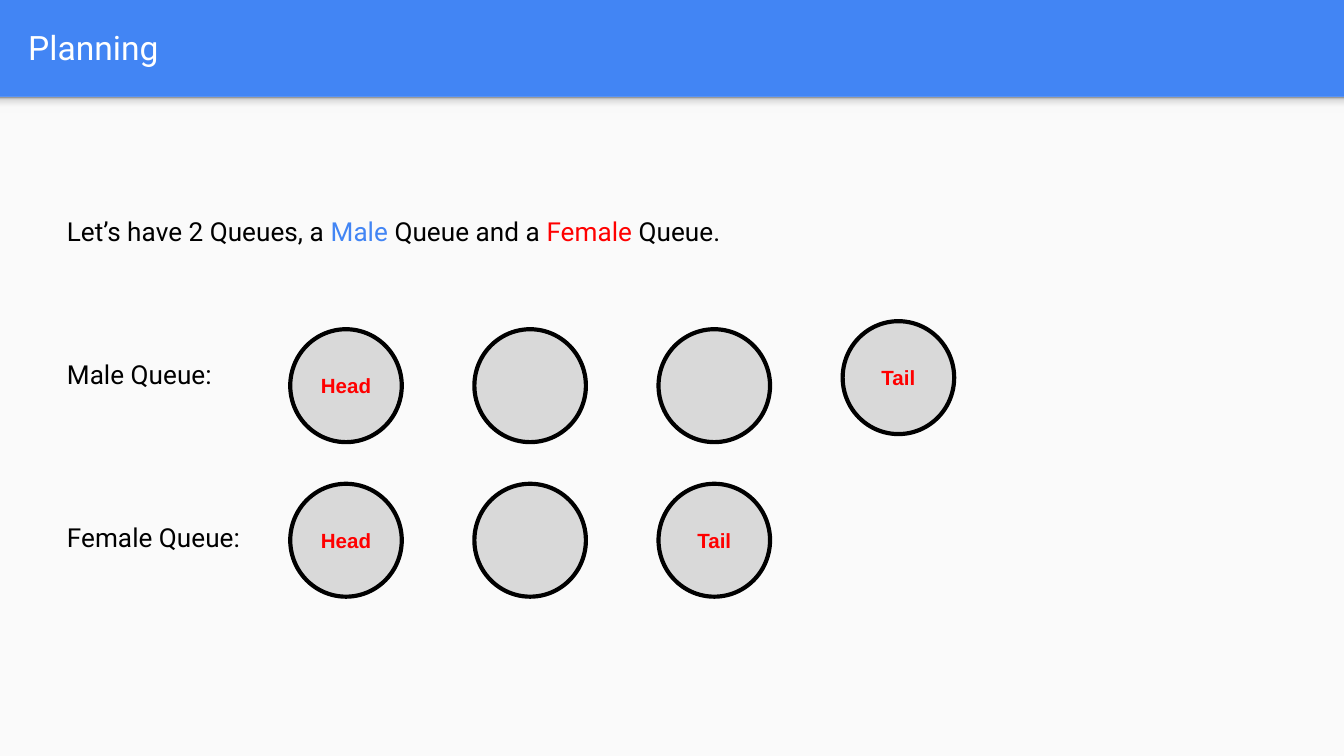
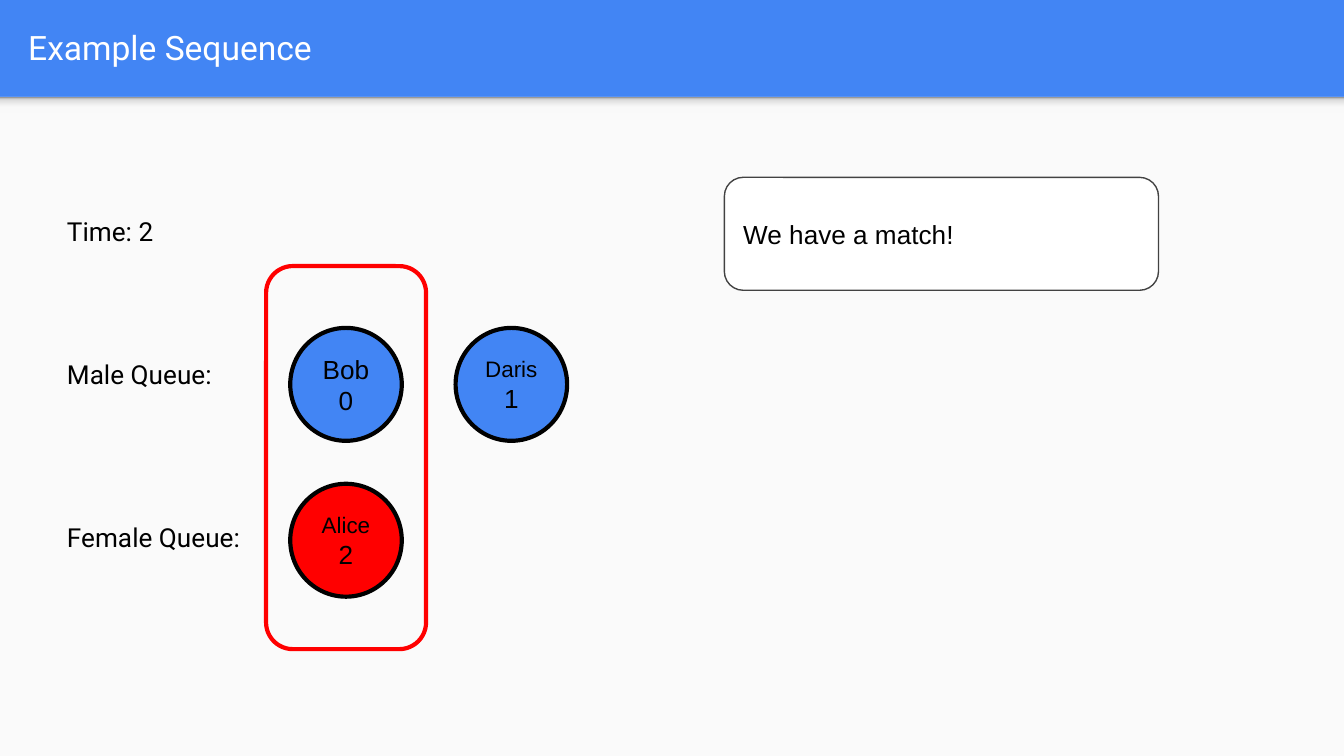
from lxml import etree
from pptx import Presentation
from pptx import util as u
from pptx.dml.color import RGBColor
from pptx.enum import shapes, text
from pptx.oxml import ns

# Shared style
BLUE = RGBColor(0x42, 0x85, 0xF4)
RED = RGBColor(0xFF, 0x00, 0x00)
BLACK = RGBColor(0x00, 0x00, 0x00)
WHITE = RGBColor(0xFF, 0xFF, 0xFF)
PANEL = RGBColor(0xFA, 0xFA, 0xFA)
NODE_GREY = RGBColor(0xD9, 0xD9, 0xD9)
CARD_LINE = RGBColor(0x42, 0x42, 0x42)
SHADE_STOPS = ((0, "F9F9F9"), (36, "F9F9F9"), (80, "DEDEDE"), (100, "999999"))
HEADING_FONT, NODE_FONT = "Roboto", "Arial"

# Shared layout, in inches
SLIDE_W = 10
SLIDE_H = SLIDE_W * 9 / 16
BAND_H = 0.72
LABEL_X, LABEL_W = 0.4, 1.67
NODE_X, NODE_W, NODE_H = 2.16, 0.83, 0.84
NODE_STEP = 1.37
FEMALE_Y = 3.6


def box(left, top, width, height):
    return [u.Inches(length) for length in (left, top, width, height)]


def set_frame(frame, anchor):
    frame.word_wrap = True
    frame.auto_size = text.MSO_AUTO_SIZE.NONE
    frame.vertical_anchor = anchor
    frame.margin_left = frame.margin_right = u.Inches(0.1)
    frame.margin_top = frame.margin_bottom = u.Inches(0.1)


def style_run(run, size, color, font, bold=False):
    run.font.size = u.Pt(size)
    run.font.color.rgb = color
    run.font.name = font
    run.font.bold = bold


def add_shape(slide, kind, place, fill=None, line=None, line_width=2.25):
    shape = slide.shapes.add_shape(kind, *box(*place))
    shape.shadow.inherit = False
    if fill is None:
        shape.fill.background()
    else:
        shape.fill.solid()
        shape.fill.fore_color.rgb = fill
    if line is None:
        shape.line.fill.background()
    else:
        shape.line.color.rgb = line
        shape.line.width = u.Pt(line_width)
    return shape


def add_band_shade(slide):
    """Soft shade below the title band, darkest at its top edge."""
    shade = add_shape(slide, shapes.MSO_SHAPE.RECTANGLE, (0, BAND_H, SLIDE_W, 0.12))
    shade.fill.gradient()
    shade.fill.gradient_angle = 90
    stops = shade.element.spPr.find(".//" + ns.qn("a:gsLst"))
    for stop in list(stops):
        stops.remove(stop)
    for percent, color in SHADE_STOPS:
        stop = etree.SubElement(stops, ns.qn("a:gs"), pos=str(percent * 1000))
        etree.SubElement(stop, ns.qn("a:srgbClr"), val=color)


def add_page(prs, heading):
    """Slide with blue title band and light content panel."""
    slide = prs.slides.add_slide(prs.slide_layouts[5])
    add_shape(slide, shapes.MSO_SHAPE.RECTANGLE,
              (0, BAND_H, SLIDE_W, SLIDE_H - BAND_H), PANEL)
    add_band_shade(slide)
    title = slide.shapes.title
    title.left, title.top, title.width, title.height = box(0.11, 0.02, 9.65, 0.66)
    set_frame(title.text_frame, text.MSO_ANCHOR.MIDDLE)
    title.text_frame.text = heading
    paragraph = title.text_frame.paragraphs[0]
    paragraph.alignment = text.PP_ALIGN.LEFT
    style_run(paragraph.runs[0], 18, WHITE, HEADING_FONT)
    return slide


def add_label(slide, top, parts, width=LABEL_W):
    """Line of text made of (words, color) parts."""
    label = slide.shapes.add_textbox(*box(LABEL_X, top, width, 0.48))
    set_frame(label.text_frame, text.MSO_ANCHOR.TOP)
    for words, color in parts:
        run = label.text_frame.paragraphs[0].add_run()
        run.text = words
        style_run(run, 14, color, HEADING_FONT)


def add_queue_labels(slide):
    add_label(slide, 2.57, [("Male Queue: ", BLACK)])
    add_label(slide, 3.78, [("Female Queue: ", BLACK)])


def add_node(slide, left, top, fill, lines=(), color=BLACK, bold=False):
    """Queue member with centred (words, size) lines."""
    node = add_shape(slide, shapes.MSO_SHAPE.FLOWCHART_CONNECTOR,
                     (left, top, NODE_W, NODE_H), fill, BLACK)
    if not lines:
        return
    set_frame(node.text_frame, text.MSO_ANCHOR.MIDDLE)
    node.text_frame.text = "\n".join(words for words, _ in lines)
    for paragraph, (_, size) in zip(node.text_frame.paragraphs, lines):
        paragraph.alignment = text.PP_ALIGN.CENTER
        style_run(paragraph.runs[0], size, color, NODE_FONT, bold)


def add_card(slide, place, message):
    card = add_shape(slide, shapes.MSO_SHAPE.ROUNDED_RECTANGLE, place,
                     WHITE, CARD_LINE, 0.75)
    set_frame(card.text_frame, text.MSO_ANCHOR.MIDDLE)
    card.text_frame.text = message
    paragraph = card.text_frame.paragraphs[0]
    paragraph.alignment = text.PP_ALIGN.LEFT
    style_run(paragraph.runs[0], 14, BLACK, NODE_FONT)


def build_planning(prs):
    slide = add_page(prs, "Planning")
    add_queue_labels(slide)
    add_label(slide, 1.5, [("Let’s have 2 Queues, a ", BLACK), ("Male ", BLUE),
                           ("Queue and a ", BLACK), ("Female ", RED),
                           ("Queue.", BLACK)], width=7.1)
    # Each queue: (role, top) per member; the male tail sits slightly higher
    male = (("Head", 2.45), ("", 2.45), ("", 2.45), ("Tail", 2.39))
    female = (("Head", FEMALE_Y), ("", FEMALE_Y), ("Tail", FEMALE_Y))
    for queue in (male, female):
        for place, (role, top) in enumerate(queue):
            add_node(slide, NODE_X + place * NODE_STEP, top, NODE_GREY,
                     [(role, 11)] if role else (), RED, bold=True)


def build_example(prs):
    slide = add_page(prs, "Example Sequence")
    add_queue_labels(slide)
    add_label(slide, 1.5, [("Time: 2 ", BLACK)])
    # Waiting people: name, name size, arrival time, left, top, fill
    people = (("Bob", 14, "0", NODE_X, 2.44, BLUE),
              ("Daris", 12, "1", 3.39, 2.44, BLUE),
              ("Alice", 12, "2", NODE_X, FEMALE_Y, RED))
    for name, size, arrival, left, top, fill in people:
        add_node(slide, left, top, fill, [(name, size), (arrival, 14)])
    # Matched pair and its message
    add_shape(slide, shapes.MSO_SHAPE.ROUNDED_RECTANGLE,
              (1.98, 1.98, 1.19, 2.85), line=RED)
    add_card(slide, (5.39, 1.32, 3.23, 0.84), "We have a match!")


def main():
    prs = Presentation()
    prs.slide_width, prs.slide_height = u.Inches(SLIDE_W), u.Inches(SLIDE_H)
    backdrop = prs.slide_master.background.fill
    backdrop.solid()
    backdrop.fore_color.rgb = BLUE
    build_planning(prs)
    build_example(prs)
    prs.save("out.pptx")


main()
